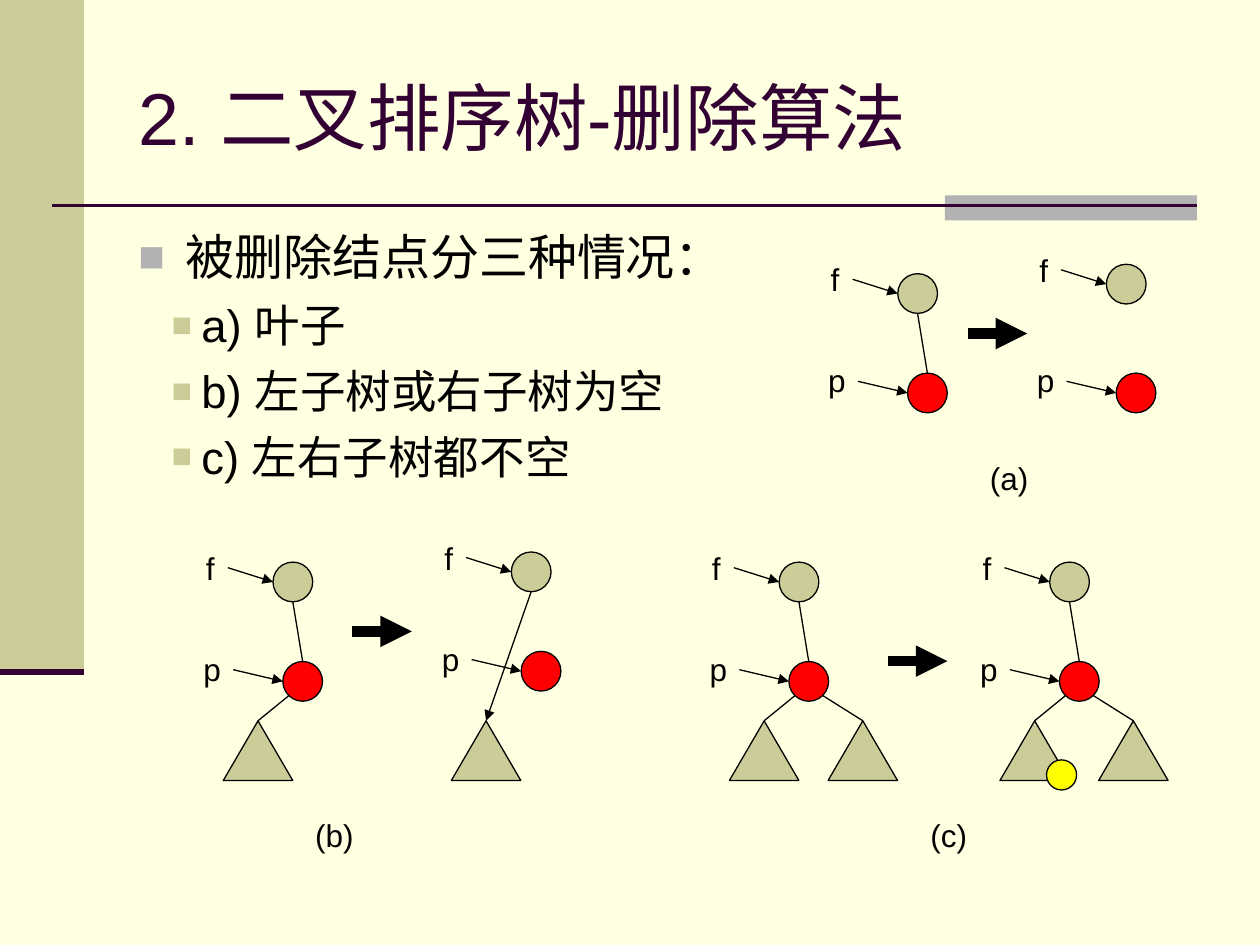
from lxml import etree
from pptx import Presentation
from pptx.dml.color import RGBColor
from pptx.enum.shapes import MSO_CONNECTOR, MSO_SHAPE
from pptx.enum.text import MSO_ANCHOR, MSO_AUTO_SIZE
from pptx.oxml.ns import qn
from pptx.util import Pt

STRAIGHT = MSO_CONNECTOR.STRAIGHT
RECTANGLE, OVAL, TRIANGLE = MSO_SHAPE.RECTANGLE, MSO_SHAPE.OVAL, MSO_SHAPE.ISOSCELES_TRIANGLE
TOP, MIDDLE = MSO_ANCHOR.TOP, MSO_ANCHOR.MIDDLE
FIT, FIXED = MSO_AUTO_SIZE.SHAPE_TO_FIT_TEXT, MSO_AUTO_SIZE.NONE

CREAM = RGBColor(0xFF, 0xFF, 0xE1)
KHAKI = RGBColor(0xCC, 0xCC, 0x99)
GRAY = RGBColor(0xB2, 0xB2, 0xB2)
PLUM = RGBColor(0x33, 0x00, 0x33)
RED = RGBColor(0xFF, 0x00, 0x00)
YELLOW = RGBColor(0xFF, 0xFF, 0x00)
BLACK = RGBColor(0x00, 0x00, 0x00)

NODE = 22.7
SUBTREE_WIDTH, SUBTREE_HEIGHT, SUBTREE_TOP = 39.7, 34.1, 411.9
CHILD_SHIFT, CHILD_DROP = 5.6, 56.8
POINTERS = {
    "f": {"fill": KHAKI, "label": (-45.4, -11.2, 19.4), "start": (-25.8, 3.2)},
    "p": {"fill": RED, "label": (-52.4, -10.2, 24.5), "start": (-28.3, 4.7)},
}


def set_values(target, values):
    for name, value in values.items():
        setattr(target, name, value)


class Board:
    font = "Arial"
    thin = 0.75

    def __init__(self, slide):
        self.slide = slide
        slide.background.fill.solid()
        slide.background.fill.fore_color.rgb = CREAM

    def shape(self, kind, left, top, width, height, fill, outlined=True):
        shape = self.slide.shapes.add_shape(kind, Pt(left), Pt(top), Pt(width), Pt(height))
        shape.shadow.inherit = False
        shape.fill.solid()
        shape.fill.fore_color.rgb = fill
        if outlined:
            shape.line.color.rgb = BLACK
            shape.line.width = Pt(self.thin)
        else:
            shape.line.fill.background()
        return shape

    def line(self, start, end, color=BLACK, width=thin, arrow=False):
        points = [Pt(value) for value in (*start, *end)]
        line = self.slide.shapes.add_connector(STRAIGHT, *points)
        line.line.color.rgb = color
        line.line.width = Pt(width)
        if arrow:
            etree.SubElement(line.line._get_or_add_ln(), qn("a:tailEnd"), type="triangle")
        etree.SubElement(line._element.spPr, qn("a:effectLst"))
        return line

    def text(self, content, left, top, width, height, size=18, color=BLACK, **frame_values):
        box = self.slide.shapes.add_textbox(Pt(left), Pt(top), Pt(width), Pt(height))
        frame = box.text_frame
        set_values(frame, {"word_wrap": False, "auto_size": FIT, **frame_values})
        self.run(frame.paragraphs[0], content, size, color)
        return frame

    def run(self, paragraph, content, size, color=BLACK):
        run = paragraph.add_run()
        run.text = content
        set_values(run.font, {"name": self.font, "size": Pt(size)})
        run.font.color.rgb = color

    def bullet(self, paragraph, color, percent, margin, indent, before):
        paragraph.space_before = Pt(before)
        properties = paragraph._p.get_or_add_pPr()
        properties.set("marL", str(Pt(margin)))
        properties.set("indent", str(Pt(indent)))
        bullet_color = etree.SubElement(properties, qn("a:buClr"))
        etree.SubElement(bullet_color, qn("a:srgbClr"), val=str(color))
        etree.SubElement(properties, qn("a:buSzPct"), val=str(percent * 1000))
        etree.SubElement(properties, qn("a:buFont"), typeface=self.font)
        etree.SubElement(properties, qn("a:buChar"), char="■")

    def node(self, name, left, top):
        pointer = POINTERS[name]
        self.shape(OVAL, left, top, NODE, NODE, pointer["fill"])
        label_x, label_y, label_width = pointer["label"]
        self.text(name, left + label_x, top + label_y, label_width, 28.8)
        start_x, start_y = pointer["start"]
        self.line((left + start_x, top + start_y), (left, top + NODE / 2), arrow=True)

    def pair(self, left, top, drop=CHILD_DROP, linked=True):
        child_left, child_top = left + CHILD_SHIFT, top + drop
        self.node("f", left, top)
        self.node("p", child_left, child_top)
        if linked:
            self.line((left + NODE / 2, top + NODE), (child_left + NODE / 2, child_top))
        return child_left, child_top

    def subtree(self, left, parent_point, arrow=False):
        triangle = self.shape(TRIANGLE, left, SUBTREE_TOP, SUBTREE_WIDTH, SUBTREE_HEIGHT, KHAKI)
        apex = (left + SUBTREE_WIDTH / 2, SUBTREE_TOP)
        self.line(parent_point, apex, arrow=arrow).end_connect(triangle, 0)

    def tree(self, left, top, sides):
        child_left, child_top = self.pair(left, top)
        for offset, edge in sides:
            self.subtree(child_left + offset, (child_left + edge, child_top + 19.5))

    def step(self, left, middle):
        self.line((left, middle), (left + 34, middle), width=6, arrow=True)


def main():
    presentation = Presentation()
    set_values(presentation, {"slide_width": Pt(720), "slide_height": Pt(540)})
    board = Board(presentation.slides.add_slide(presentation.slide_layouts[6]))

    board.shape(RECTANGLE, 0, 0, 48, 384, KHAKI, outlined=False)
    board.shape(RECTANGLE, 540, 111.6, 144, 14.4, GRAY, outlined=False)
    board.line((30, 117.6), (684, 117.6), PLUM, 1.5)
    board.line((0, 384), (48, 384), PLUM, 3.5)

    wrapped = {"word_wrap": True, "auto_size": FIXED}
    board.text("2. 二叉排序树-删除算法", 72, 21.6, 612, 90, 42, PLUM,
               vertical_anchor=MIDDLE, **wrapped)
    body = board.text("被删除结点分三种情况：", 72, 126, 612, 356.4, 28,
                      vertical_anchor=TOP, **wrapped)
    board.bullet(body.paragraphs[0], GRAY, 90, 27, -27, 7)
    for situation in ("a) 叶子", "b) 左子树或右子树为空", "c) 左右子树都不空"):
        paragraph = body.add_paragraph()
        paragraph.level = 1
        board.run(paragraph, situation, 26)
        board.bullet(paragraph, KHAKI, 75, 36, -17, 6.5)

    board.pair(513, 156.4)
    board.step(553, 190.6)
    board.pair(632.2, 151, drop=62.2, linked=False)

    left_side, right_side = (-34, 3.5), (22.4, 19.4)
    board.tree(156, 321.2, [left_side])
    board.step(201.4, 360.8)
    grand_left, grand_top = 292.2, 315.4
    board.pair(grand_left, grand_top, linked=False)
    board.subtree(257.9, (grand_left + NODE / 2, grand_top + NODE), arrow=True)

    for left in (445.2, 599.8):
        board.tree(left, 321.2, [left_side, right_side])
    board.step(507.4, 377.8)
    board.shape(OVAL, 598, 434.2, 17.2, 17.2, YELLOW)

    for caption, left, top in (("(a)", 558.6, 258.6), ("(b)", 173, 462.8), ("(c)", 524.6, 462.8)):
        board.text(caption, left, top, 37, 28.8)

    presentation.save("out.pptx")


if __name__ == "__main__":
    main()
